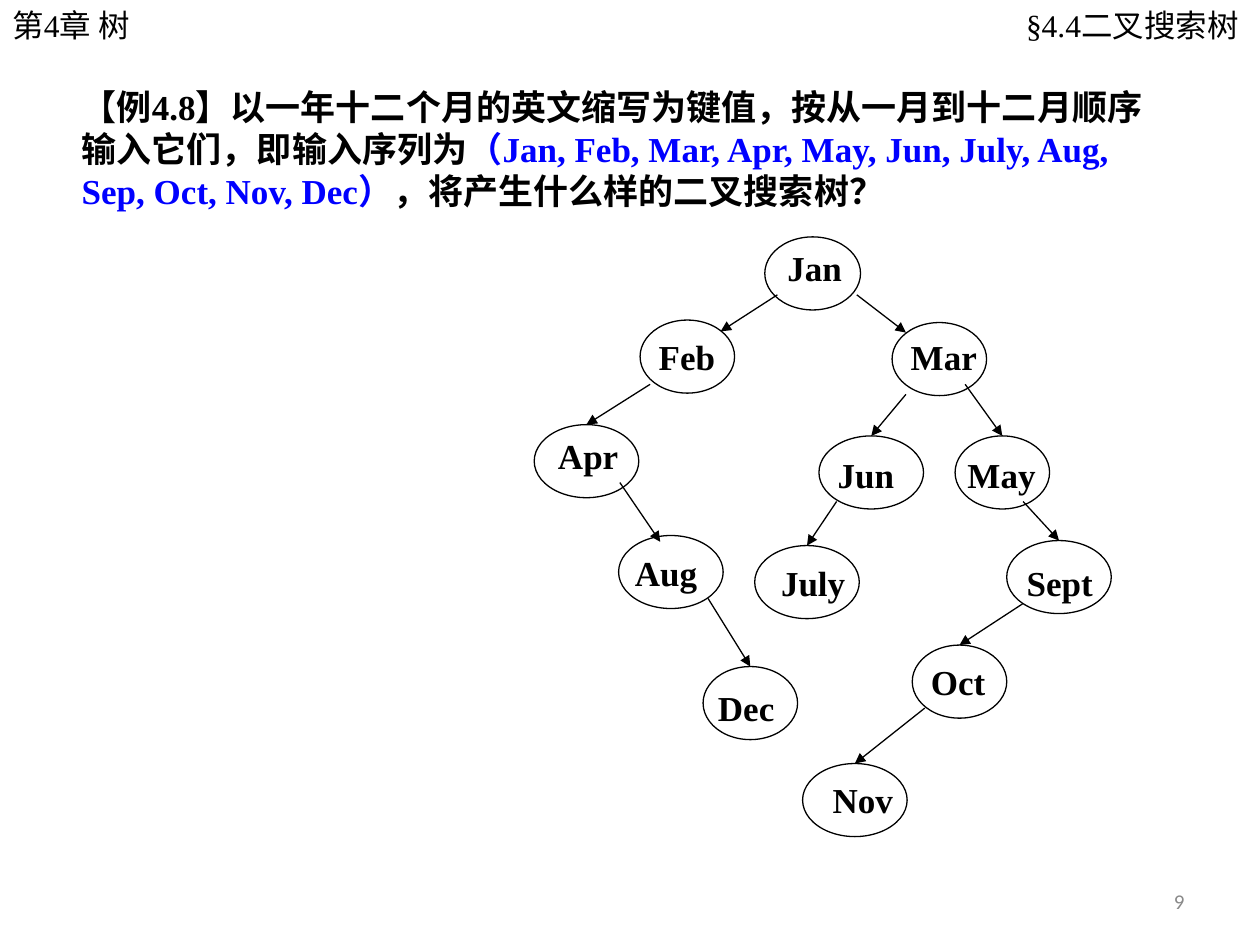
from dataclasses import dataclass

from lxml import etree
from pptx import Presentation
from pptx import util as u
from pptx.dml.color import RGBColor
from pptx.enum import lang, shapes, text
from pptx.oxml import ns


@dataclass(frozen=True)
class Theme:
    serif: str = "Times New Roman"
    sans: str = "Calibri"
    ink: RGBColor = RGBColor(0, 0, 0)
    keys: RGBColor = RGBColor(0, 0, 255)
    muted: RGBColor = RGBColor(0x89, 0x89, 0x89)
    body: int = 20
    header: int = 18
    number: int = 12
    line: float = 0.75


THEME = Theme()
NODE_HEIGHT = 0.58
LABEL_HEIGHT = 0.44

# month, ellipse (left, top, width), label (left, top, width),
# arrow start, arrow end (None means the top of the ellipse)
NODES = [
    ("Jan", (6.07, 1.88, 0.76), (6.15, 1.91, 0.64), None, None),
    ("Feb", (5.08, 2.54, 0.75), (5.13, 2.61, 0.66), (6.17, 2.34), (5.72, 2.63)),
    ("Apr", (4.24, 3.37, 0.83), (4.33, 3.40, 0.69), (5.16, 3.05), None),
    ("Mar", (7.08, 2.56, 0.75), (7.13, 2.61, 0.74), (6.80, 2.34), (7.19, 2.64)),
    ("Jun", (6.50, 3.46, 0.83), (6.55, 3.55, 0.66), (7.19, 3.13), None),
    ("May", (7.58, 3.46, 0.75), (7.58, 3.55, 0.75), (7.66, 3.05), None),
    ("Dec", (5.58, 5.29, 0.75), (5.60, 5.40, 0.66), (5.62, 4.75), None),
    ("Oct", (7.24, 5.12, 0.75), (7.29, 5.19, 0.64), (8.12, 4.79), None),
    ("Sept", (7.99, 4.29, 0.83), (8.05, 4.41, 0.74), (8.12, 3.98), None),
    ("July", (5.99, 4.33, 0.83), (6.10, 4.41, 0.72), (6.64, 3.98), None),
    ("Aug", (4.91, 4.25, 0.83), (4.94, 4.33, 0.71), (4.92, 3.83), (5.24, 4.30)),
    ("Nov", (6.37, 6.06, 0.83), (6.51, 6.13, 0.69), (7.34, 5.62), None),
]


def inches(*lengths):
    return [u.Inches(length) for length in lengths]


def add_text(parent, frame, spans, size, font=THEME.serif, bold=False,
             align=text.PP_ALIGN.LEFT):
    """Add a text box of one paragraph; spans are (wording, colour) pairs."""
    box = parent.add_textbox(*inches(*frame))
    box.text_frame.word_wrap = True
    para = box.text_frame.paragraphs[0]
    para.alignment = align
    for wording, colour in spans:
        span = para.add_run()
        span.text = wording
        span.font.name = font
        span.font.size = u.Pt(size)
        span.font.bold = bold
        span.font.color.rgb = colour
        span.font.language_id = lang.MSO_LANGUAGE_ID.SIMPLIFIED_CHINESE
    return box


def add_label(parent, month, place):
    """Add a one-line label whose box grows with its text."""
    label = add_text(parent, (*place, LABEL_HEIGHT), [(month, THEME.ink)],
                     THEME.body, bold=True)
    label.text_frame.word_wrap = False
    label.text_frame.auto_size = text.MSO_AUTO_SIZE.SHAPE_TO_FIT_TEXT


def style_line(shape):
    shape.line.color.rgb = THEME.ink
    shape.line.width = u.Pt(THEME.line)


def add_ellipse(parent, left, top, width):
    ellipse = parent.add_shape(shapes.MSO_SHAPE.OVAL,
                               *inches(left, top, width, NODE_HEIGHT))
    ellipse.shadow.inherit = False
    ellipse.fill.background()
    style_line(ellipse)
    return ellipse


def add_arrow(parent, start, end):
    arrow = parent.add_connector(shapes.MSO_CONNECTOR.STRAIGHT,
                                 *inches(*start, *end))
    style_line(arrow)
    etree.SubElement(arrow.line._get_or_add_ln(), ns.qn("a:tailEnd"), type="triangle")
    etree.SubElement(arrow._element.spPr, ns.qn("a:effectLst"))
    return arrow


def add_node(slide, month, place, label, start, end):
    """Group a month's ellipse, the arrow from its parent and its label."""
    group = slide.shapes.add_group_shape().shapes
    ellipse = add_ellipse(group, *place)
    if start:
        left, top, width = place
        arrow = add_arrow(group, start, end or (left + width / 2, top))
        if end is None:
            arrow.end_connect(ellipse, 0)
    add_label(group, month, label)


def add_headers(slide):
    add_text(slide.shapes, (0, 0, 2.09, 0.4), [("第4章 树", THEME.ink)], THEME.header)
    section = add_text(slide.shapes, (6.18, 0, 3.81, 0.4),
                       [("§4.4二叉搜索树", THEME.ink)], THEME.header,
                       align=text.PP_ALIGN.RIGHT)
    section.text_frame.margin_left = u.Inches(0.12)
    section.text_frame.margin_right = u.Inches(0.16)


def add_question(slide):
    add_text(slide.shapes, (0.55, 0.63, 8.79, 1.1), [
        ("【例4.8】以一年十二个月的英文缩写为键值，按从一月到十二月顺序输入它们，即输入序列为",
         THEME.ink),
        ("（Jan, Feb, Mar, Apr, May, Jun, July, Aug, Sep, Oct, Nov, Dec）", THEME.keys),
        ("，将产生什么样的二叉搜索树？", THEME.ink),
    ], THEME.body, bold=True)


def add_page_number(slide):
    box = add_text(slide.shapes, (7.17, 6.95, 2.33, 0.4), [("9", THEME.muted)],
                   THEME.number, font=THEME.sans, align=text.PP_ALIGN.RIGHT)
    box.text_frame.vertical_anchor = text.MSO_ANCHOR.MIDDLE


def main():
    deck = Presentation()
    deck.slide_width, deck.slide_height = inches(10, 7.5)
    slide = deck.slides.add_slide(deck.slide_layouts[6])
    add_page_number(slide)
    add_question(slide)
    add_headers(slide)
    for node in NODES:
        add_node(slide, *node)
    deck.save("out.pptx")


if __name__ == "__main__":
    main()
